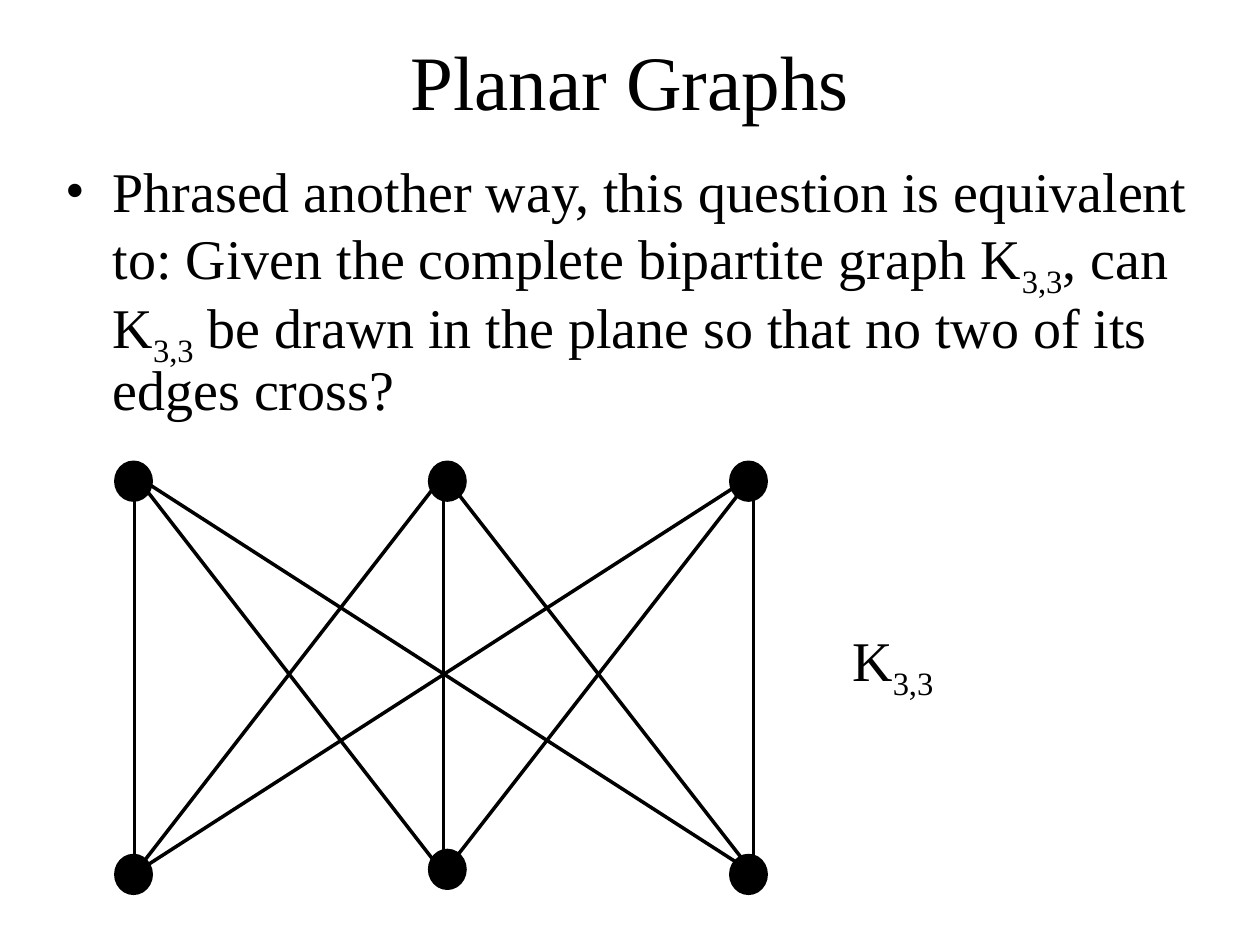
import itertools

import pptx
import pptx.dml.color
import pptx.enum.shapes
import pptx.enum.text
import pptx.oxml.ns
import pptx.util
from lxml import etree

Pt = pptx.util.Pt
COLORS = {"background": "FFFFFF", "ink": "000000"}
FONT = "Times New Roman"
SUBSCRIPT = "3,3"
LINE_WIDTH = 2
VERTEX_SIZE = (20.2, 21.6)
VERTEX_LEFTS = (66.2, 245.5, 417.6)
UPPER_TOPS = (264.2, 264.2, 264.2)
LOWER_TOPS = (488.9, 486, 488.9)
EDGE_XS = (77, 253.5, 430.5)
EDGE_YS = (271.5, 499)


def color(name):
    return pptx.dml.color.RGBColor.from_string(COLORS[name])


def add_xml(parent, tag, **attributes):
    return etree.SubElement(parent, pptx.oxml.ns.qn(tag), **attributes)


def place(shape, left, top, width, height):
    shape.left, shape.top = Pt(left), Pt(top)
    shape.width, shape.height = Pt(width), Pt(height)


def add_runs(paragraph, texts, size):
    for text in texts:
        run = paragraph.add_run()
        run.text = text
        run.font.name = FONT
        run.font.size = Pt(size)
        run.font.color.rgb = color("ink")
        if text == SUBSCRIPT:
            run.font._element.set("baseline", "-25000")


def space_before(paragraph, percent):
    spacing = add_xml(paragraph._p.get_or_add_pPr(), "a:spcBef")
    add_xml(spacing, "a:spcPct", val=str(percent * 1000))


def add_bullet(paragraph, indent):
    properties = paragraph._p.get_or_add_pPr()
    properties.set("marL", str(Pt(indent)))
    properties.set("indent", str(-Pt(indent)))
    add_xml(properties, "a:buFont", typeface=FONT)
    add_xml(properties, "a:buChar", char="•")


def fill_title(slide):
    title = slide.shapes.title
    place(title, 36, 12.2, 648, 66.2)
    frame = title.text_frame
    frame.auto_size = pptx.enum.text.MSO_AUTO_SIZE.NONE
    frame.vertical_anchor = pptx.enum.text.MSO_ANCHOR.MIDDLE
    paragraph = frame.paragraphs[0]
    paragraph.alignment = pptx.enum.text.PP_ALIGN.CENTER
    add_runs(paragraph, ["Planar Graphs"], 44)


def fill_question(slide):
    body = slide.placeholders[1]
    place(body, 30.2, 90, 660.2, 156.2)
    body.text_frame.auto_size = pptx.enum.text.MSO_AUTO_SIZE.NONE
    paragraph = body.text_frame.paragraphs[0]
    paragraph.line_spacing = 0.9
    space_before(paragraph, 20)
    add_bullet(paragraph, 27)
    add_runs(paragraph, [
        "Phrased another way, this question is equivalent to: "
        "Given the complete bipartite graph K", SUBSCRIPT,
        ", can K", SUBSCRIPT,
        " be drawn in the plane so that no two of its edges cross?",
    ], 32)


def add_graph_label(slide):
    label = slide.shapes.add_textbox(Pt(480), Pt(354.2), Pt(77.8), Pt(45.4))
    frame = label.text_frame
    frame.word_wrap = True
    frame.auto_size = pptx.enum.text.MSO_AUTO_SIZE.SHAPE_TO_FIT_TEXT
    paragraph = frame.paragraphs[0]
    space_before(paragraph, 50)
    add_runs(paragraph, ["K", SUBSCRIPT], 32)


def add_edge(group, upper_x, lower_x):
    upper_y, lower_y = EDGE_YS
    edge = group.shapes.add_connector(
        pptx.enum.shapes.MSO_CONNECTOR.STRAIGHT,
        Pt(upper_x), Pt(upper_y), Pt(lower_x), Pt(lower_y))
    edge.line.color.rgb = color("ink")
    edge.line.width = Pt(LINE_WIDTH)
    add_xml(edge._element.spPr, "a:effectLst")


def add_vertex(group, left, top):
    width, height = VERTEX_SIZE
    vertex = group.shapes.add_shape(
        pptx.enum.shapes.MSO_SHAPE.OVAL,
        Pt(left), Pt(top), Pt(width), Pt(height))
    vertex.shadow.inherit = False
    vertex.fill.solid()
    vertex.fill.fore_color.rgb = color("ink")
    vertex.line.color.rgb = color("ink")
    vertex.line.width = Pt(LINE_WIDTH)


def add_bipartite_graph(slide):
    group = slide.shapes.add_group_shape()
    for upper_x, lower_x in itertools.product(EDGE_XS, repeat=2):
        add_edge(group, upper_x, lower_x)
    for tops in (UPPER_TOPS, LOWER_TOPS):
        for left, top in zip(VERTEX_LEFTS, tops):
            add_vertex(group, left, top)


def main():
    presentation = pptx.Presentation()
    presentation.slide_width = Pt(720)
    presentation.slide_height = Pt(540)
    slide = presentation.slides.add_slide(presentation.slide_layouts[1])
    slide.background.fill.solid()
    slide.background.fill.fore_color.rgb = color("background")
    fill_title(slide)
    fill_question(slide)
    add_graph_label(slide)
    add_bipartite_graph(slide)
    presentation.save("out.pptx")


if __name__ == "__main__":
    main()
